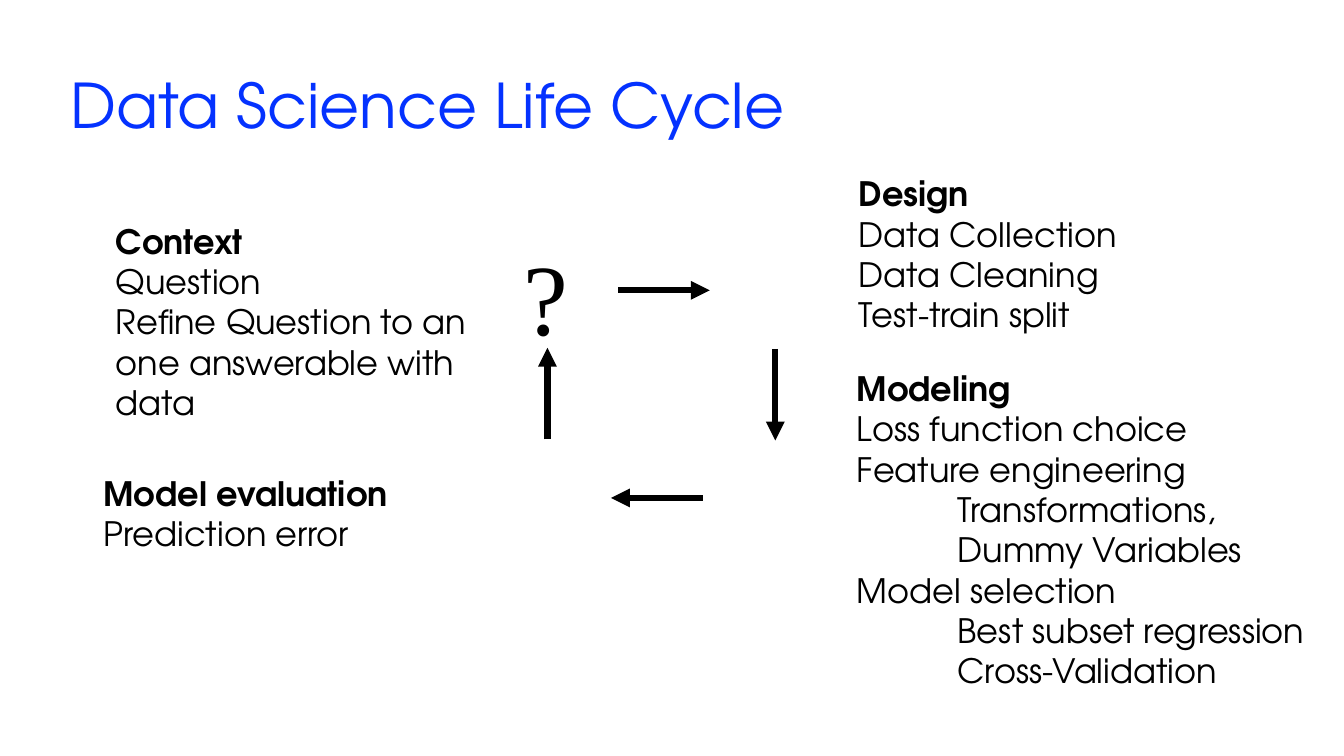
from dataclasses import dataclass

from lxml import etree
from pptx import Presentation
from pptx import util as u
from pptx.dml.color import RGBColor
from pptx.enum import shapes, text
from pptx.oxml.ns import qn


@dataclass(frozen=True)
class Theme:
    sans: str = "TeX Gyre Adventor"
    serif: str = "Times New Roman"
    blue: RGBColor = RGBColor(0x04, 0x32, 0xFF)
    black: RGBColor = RGBColor(0, 0, 0)
    title_size: int = 44
    body_size: int = 24
    mark_size: int = 72
    arrow_width: float = 4.5


THEME = Theme()
PX_PER_INCH = 100
INDENT = 100

STAGES = [
    ((105, 214, 415, 212), "Context",
     [("Question", 0), ("Refine Question to an one answerable with data", 0)]),
    ((842, 167, 415, 212), "Design",
     [("Data Collection", 0), ("Data Cleaning", 0), ("Test-train split", 0)]),
    ((840, 360, 477, 333), "Modeling",
     [("Loss function choice", 0), ("Feature engineering", 0),
      ("Transformations,", 1), ("Dummy Variables", 1),
      ("Model selection", 0),
      ("Best subset regression", 1), ("Cross-Validation", 1)]),
    ((93, 464, 415, 91), "Model evaluation", [("Prediction error", 0)]),
]


def px(length):
    return u.Emu(length * u.Inches(1) // PX_PER_INCH)


def style(para, font_name, size, color, bold=False):
    for span in para.runs:
        span.font.name = font_name
        span.font.size = u.Pt(size)
        span.font.color.rgb = color
        span.font.bold = bold


def add_title(page, bounds, words):
    title = page.shapes.title
    title.left, title.top, title.width, title.height = map(px, bounds)
    frame = title.text_frame
    frame.text = words
    frame.word_wrap = True
    frame.vertical_anchor = text.MSO_ANCHOR.MIDDLE
    para = frame.paragraphs[0]
    para.alignment = text.PP_ALIGN.LEFT
    para.line_spacing = 0.9
    style(para, THEME.sans, THEME.title_size, THEME.blue)


def add_stage(page, bounds, heading, steps):
    frame = page.shapes.add_textbox(*map(px, bounds)).text_frame
    frame.word_wrap = True
    frame.auto_size = text.MSO_AUTO_SIZE.SHAPE_TO_FIT_TEXT
    frame.text = heading
    style(frame.paragraphs[0], THEME.sans, THEME.body_size, THEME.black, True)
    for words, depth in steps:
        para = frame.add_paragraph()
        para.text = words
        if depth:
            para._p.get_or_add_pPr().set("marL", str(px(depth * INDENT)))
        style(para, THEME.sans, THEME.body_size, THEME.black)


def add_question_mark(page, bounds):
    frame = page.shapes.add_textbox(*map(px, bounds)).text_frame
    frame.word_wrap = False
    frame.auto_size = text.MSO_AUTO_SIZE.SHAPE_TO_FIT_TEXT
    frame.text = "?"
    style(frame.paragraphs[0], THEME.serif, THEME.mark_size, THEME.black)


def add_arrow(page, start, end):
    arrow = page.shapes.add_connector(
        shapes.MSO_CONNECTOR.STRAIGHT, *map(px, (*start, *end)))
    arrow.line.color.rgb = THEME.black
    arrow.line.width = u.Pt(THEME.arrow_width)
    etree.SubElement(arrow.line._get_or_add_ln(), qn("a:tailEnd"), type="triangle")
    etree.SubElement(arrow._element.spPr, qn("a:effectLst"))


def add_cycle(page, bounds):
    left, top, width, height = bounds
    right, bottom = left + width, top + height
    length = 91
    rise = 58
    add_arrow(page, (left + 70, top), (left + 70 + length, top))
    add_arrow(page, (right, top + rise), (right, top + rise + length))
    add_arrow(page, (left + 63 + length, bottom), (left + 63, bottom))
    add_arrow(page, (left, bottom - rise), (left, bottom - rise - length))
    add_question_mark(page, (left - 34, top - 60, 65, 131))


def build_life_cycle(deck):
    page = deck.slides.add_slide(deck.slide_layouts[5])
    add_title(page, (60, 35, 1181, 145), "Data Science Life Cycle")
    add_cycle(page, (543, 288, 226, 206))
    for bounds, heading, steps in STAGES:
        add_stage(page, bounds, heading, steps)


def main():
    deck = Presentation()
    deck.slide_width, deck.slide_height = px(1333), px(750)
    build_life_cycle(deck)
    deck.save("out.pptx")


if __name__ == "__main__":
    main()
